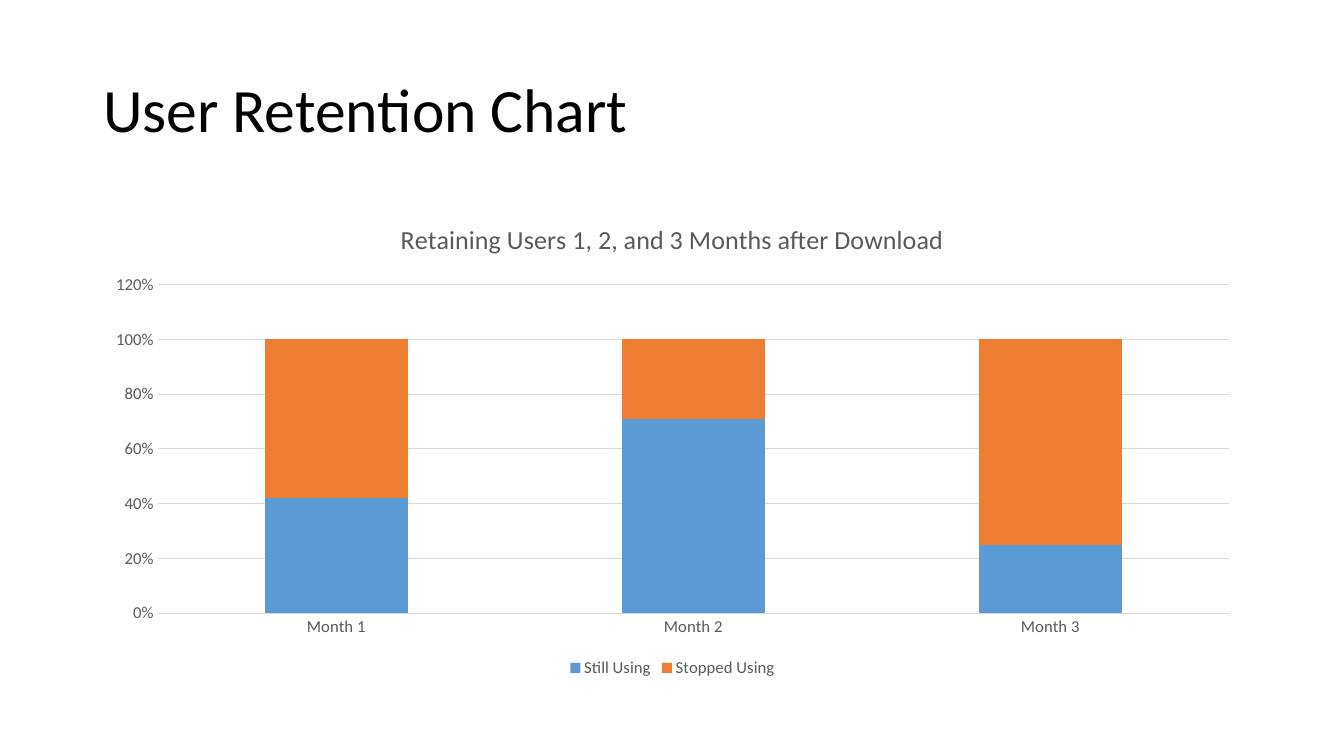
from pptx import Presentation
from pptx.chart.data import CategoryChartData
from pptx.dml.color import RGBColor
from pptx.enum.chart import XL_CHART_TYPE, XL_LEGEND_POSITION, XL_TICK_MARK
from pptx.enum.text import MSO_ANCHOR, PP_ALIGN
from pptx.util import Pt

COLUMN_STACKED = XL_CHART_TYPE.COLUMN_STACKED
LEGEND_BOTTOM = XL_LEGEND_POSITION.BOTTOM
NO_TICK = XL_TICK_MARK.NONE
MIDDLE = MSO_ANCHOR.MIDDLE
LEFT = PP_ALIGN.LEFT

FONT = "Calibri"
BLACK = RGBColor(0x00, 0x00, 0x00)
GRAY = RGBColor(0x59, 0x59, 0x59)
LIGHT_GRAY = RGBColor(0xD9, 0xD9, 0xD9)
BLUE = RGBColor(0x5B, 0x9B, 0xD5)
ORANGE = RGBColor(0xED, 0x7D, 0x31)

EMU_PER_PIXEL = 914400 / 100.8
LABEL_SIZE = 11.9


def px(*lengths):
    """Turn pixel lengths into a list of EMU lengths."""
    return [round(length * EMU_PER_PIXEL) for length in lengths]


def style_font(font, size, color):
    """Give a font the slide's typeface, a size and a colour."""
    font.name = FONT
    font.size = Pt(size)
    font.bold = False
    font.color.rgb = color


deck = Presentation()
deck.slide_width, deck.slide_height = px(1344, 756)
page = deck.slides.add_slide(deck.slide_layouts[5])

# Slide title
title = page.shapes.title
title.left, title.top, title.width, title.height = px(93, 40, 1159, 146)
title.text_frame.text = "User Retention Chart"
title.text_frame.vertical_anchor = MIDDLE
title_para = title.text_frame.paragraphs[0]
title_para.alignment = LEFT
title_para.line_spacing = 0.9
style_font(title_para.runs[0].font, 44, BLACK)

# Retention chart
retention = CategoryChartData(number_format="0%")
retention.categories = ["Month 1", "Month 2", "Month 3"]
retention.add_series("Still Using", [0.42, 0.71, 0.25])
retention.add_series("Stopped Using", [0.58, 0.29, 0.75])
chart = page.shapes.add_chart(
    COLUMN_STACKED, *px(93, 202, 1159, 480), retention
).chart
style_font(chart.font, 10, BLACK)

chart.has_title = True
chart.chart_title.include_in_layout = False
chart_title = chart.chart_title.text_frame
chart_title.text = "Retaining Users 1, 2, and 3 Months after Download"
style_font(chart_title.paragraphs[0].runs[0].font, 18.6, GRAY)

# Columns
plot = chart.plots[0]
plot.gap_width = 150
plot.overlap = 100
plot.vary_by_categories = False
for series, color in zip(plot.series, [BLUE, ORANGE]):
    series.format.fill.solid()
    series.format.fill.fore_color.rgb = color

# Axes
month_axis, share_axis = chart.category_axis, chart.value_axis
for axis in (month_axis, share_axis):
    axis.major_tick_mark = NO_TICK
    axis.minor_tick_mark = NO_TICK
    style_font(axis.tick_labels.font, LABEL_SIZE, GRAY)

share_axis.minimum_scale = 0
share_axis.maximum_scale = 1.2
share_axis.major_unit = 0.2
share_axis.tick_labels.number_format = "0%"
share_axis.tick_labels.number_format_is_linked = False
share_axis.format.line.fill.background()
share_axis.has_major_gridlines = True
for line in (month_axis.format.line, share_axis.major_gridlines.format.line):
    line.color.rgb = LIGHT_GRAY
    line.width = Pt(0.75)

# Legend
chart.has_legend = True
chart.legend.position = LEGEND_BOTTOM
chart.legend.include_in_layout = False
style_font(chart.legend.font, LABEL_SIZE, GRAY)

deck.save("out.pptx")
